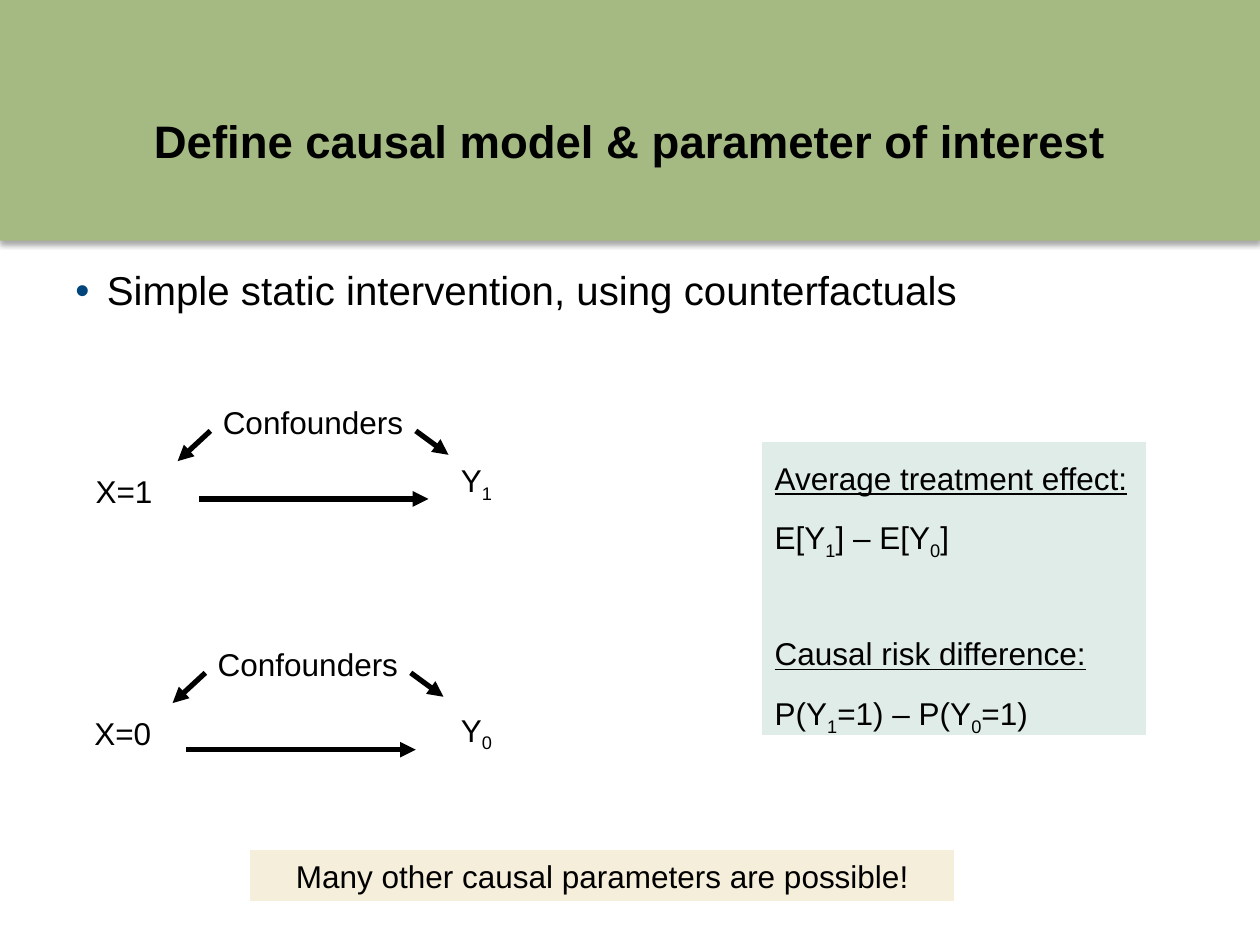
from lxml import etree
from pptx import Presentation
from pptx.dml.color import RGBColor
from pptx.enum.shapes import MSO_CONNECTOR, MSO_SHAPE
from pptx.enum.text import MSO_ANCHOR, MSO_AUTO_SIZE, PP_ALIGN
from pptx.oxml.ns import qn
from pptx.util import Inches, Pt

BLACK = RGBColor(0x00, 0x00, 0x00)
BAND_GREEN = RGBColor(0xA5, 0xBA, 0x82)
PALE_TEAL = RGBColor(0xDF, 0xEC, 0xE8)
CREAM = RGBColor(0xF5, 0xEE, 0xDA)
BULLET_BLUE = "00447C"
FONT = "Arial"
RECTANGLE = MSO_SHAPE.RECTANGLE
STRAIGHT = MSO_CONNECTOR.STRAIGHT
CENTER, LEFT = PP_ALIGN.CENTER, PP_ALIGN.LEFT
TOP, MIDDLE = MSO_ANCHOR.TOP, MSO_ANCHOR.MIDDLE
FIT_SHAPE, NO_FIT = MSO_AUTO_SIZE.SHAPE_TO_FIT_TEXT, MSO_AUTO_SIZE.NONE


def write(para, text, size=18, bold=False, underline=False):
    """Write text whose parts between underscores are subscripts."""
    for index, part in enumerate(text.split("_")):
        if not part:
            continue
        span = para.add_run()
        span.text = part
        font = span.font
        font.name, font.size, font.color.rgb = FONT, Pt(size), BLACK
        font.bold, font.underline = bold, underline
        if index % 2:
            span._r.get_or_add_rPr().set("baseline", "-25000")


def add_label(page, left, top, width, text, height=0.4, size=18):
    """Place a wrapped text box and return its paragraph."""
    box = page.shapes.add_textbox(Inches(left), Inches(top), Inches(width), Inches(height))
    box.text_frame.word_wrap = True
    para = box.text_frame.paragraphs[0]
    write(para, text, size)
    return para


def add_panel(page, left, top, width, height, color):
    """Place a plain filled rectangle."""
    panel = page.shapes.add_shape(RECTANGLE, Inches(left), Inches(top), Inches(width), Inches(height))
    panel.shadow.inherit = False
    panel.fill.solid()
    panel.fill.fore_color.rgb = color
    panel.line.color.rgb = color
    panel.line.width = Pt(0.75)
    panel.text_frame.word_wrap = True
    return panel


def add_arrow(page, x1, y1, x2, y2):
    """Draw a black arrow between two points."""
    arrow = page.shapes.add_connector(STRAIGHT, Inches(x1), Inches(y1), Inches(x2), Inches(y2))
    arrow.line.color.rgb = BLACK
    arrow.line.width = Pt(3)
    etree.SubElement(arrow.line._get_or_add_ln(), qn("a:tailEnd"), type="triangle")
    etree.SubElement(arrow._element.spPr, qn("a:effectLst"))


def add_header(page, left, top, width, height, text):
    """Place the shadowed band with the title in front of it."""
    band = add_panel(page, left, top, width, height, BAND_GREEN)
    band.line.fill.background()
    effects = band._element.spPr.find(qn("a:effectLst"))
    shadow = etree.SubElement(effects, qn("a:outerShdw"), blurRad=str(Pt(3.1)),
                              dist=str(Pt(1.8)), dir="5400000", rotWithShape="0")
    color = etree.SubElement(shadow, qn("a:srgbClr"), val="000000")
    etree.SubElement(color, qn("a:alpha"), val="35000")
    title = page.shapes.title
    title._element.addprevious(band._element)
    title.left, title.top = Inches(left + 0.5), Inches(top + 0.71)
    title.width, title.height = Inches(width - 1), Inches(0.8)
    frame = title.text_frame
    frame.auto_size, frame.vertical_anchor = NO_FIT, MIDDLE
    para = frame.paragraphs[0]
    para.alignment = CENTER
    write(para, text, 26, bold=True)


def add_bullet(page, left, top, width, height, text):
    """Place a bulleted statement."""
    para = add_label(page, left, top, width, text, height, 23)
    para.line_spacing = 0.9
    props = para._p.get_or_add_pPr()
    props.set("marL", str(Inches(0.25)))
    props.set("indent", str(-Inches(0.25)))
    color = etree.SubElement(props, qn("a:buClr"))
    etree.SubElement(color, qn("a:srgbClr"), val=BULLET_BLUE)
    etree.SubElement(props, qn("a:buFont"), typeface=FONT)
    etree.SubElement(props, qn("a:buChar"), char="\u2022")


def add_causal_graph(page, left, top, level, cause_at, effect_at, arrow_at):
    """Draw confounders, exposure and outcome relative to the confounder label."""
    add_label(page, left, top, 1.73, "Confounders")
    add_label(page, left + cause_at[0], top + cause_at[1], 1.22, f"X={level}")
    add_label(page, left + effect_at[0], top + effect_at[1], 2.9, f"Y_{level}_")
    x, y = left + arrow_at[0], top + arrow_at[1]
    add_arrow(page, x, y, x + 1.82, y)
    add_arrow(page, left + 1.63, top + 0.27, left + 1.89, top + 0.46)
    add_arrow(page, left, top + 0.27, left - 0.26, top + 0.51)


def add_parameters(page, left, top, width, height, parameters):
    """Place the panel of underlined names with their formulas."""
    frame = add_panel(page, left, top, width, height, PALE_TEAL).text_frame
    frame.auto_size, frame.vertical_anchor = FIT_SHAPE, MIDDLE
    for index, (name, formula) in enumerate(parameters):
        heading = frame.add_paragraph() if index else frame.paragraphs[0]
        if index:
            heading.space_before = Pt(31)
        write(heading, name, underline=True)
        expression = frame.add_paragraph()
        write(expression, formula)
        for para in (heading, expression):
            para.alignment, para.line_spacing = LEFT, 1.5


def add_note(page, left, top, width, height, text):
    """Place the centred closing remark."""
    frame = add_panel(page, left, top, width, height, CREAM).text_frame
    frame.auto_size, frame.vertical_anchor = FIT_SHAPE, TOP
    para = frame.paragraphs[0]
    para.alignment = CENTER
    write(para, text)


def build():
    """Build and save the deck."""
    deck = Presentation()
    deck.slide_width, deck.slide_height = Inches(10), Inches(7.5)
    page = deck.slides.add_slide(deck.slide_layouts[5])
    add_header(page, 0, 0, 10, 1.91, "Define causal model & parameter of interest")
    add_bullet(page, 0.5, 2.1, 9, 0.5, "Simple static intervention, using counterfactuals")
    add_causal_graph(page, 1.67, 3.15, 1, (-1.01, 0.55), (1.89, 0.46), (-0.09, 0.81))
    add_causal_graph(page, 1.63, 5.07, 0, (-0.98, 0.55), (1.93, 0.52), (-0.15, 0.88))
    add_parameters(page, 6.05, 3.51, 3.04, 2.32, [
        ("Average treatment effect:", "E[Y_1_] \u2013 E[Y_0_]"),
        ("Causal risk difference:", "P(Y_1_=1) \u2013 P(Y_0_=1)"),
    ])
    add_note(page, 1.99, 6.75, 5.58, 0.4, "Many other causal parameters are possible!")
    deck.save("out.pptx")


build()
